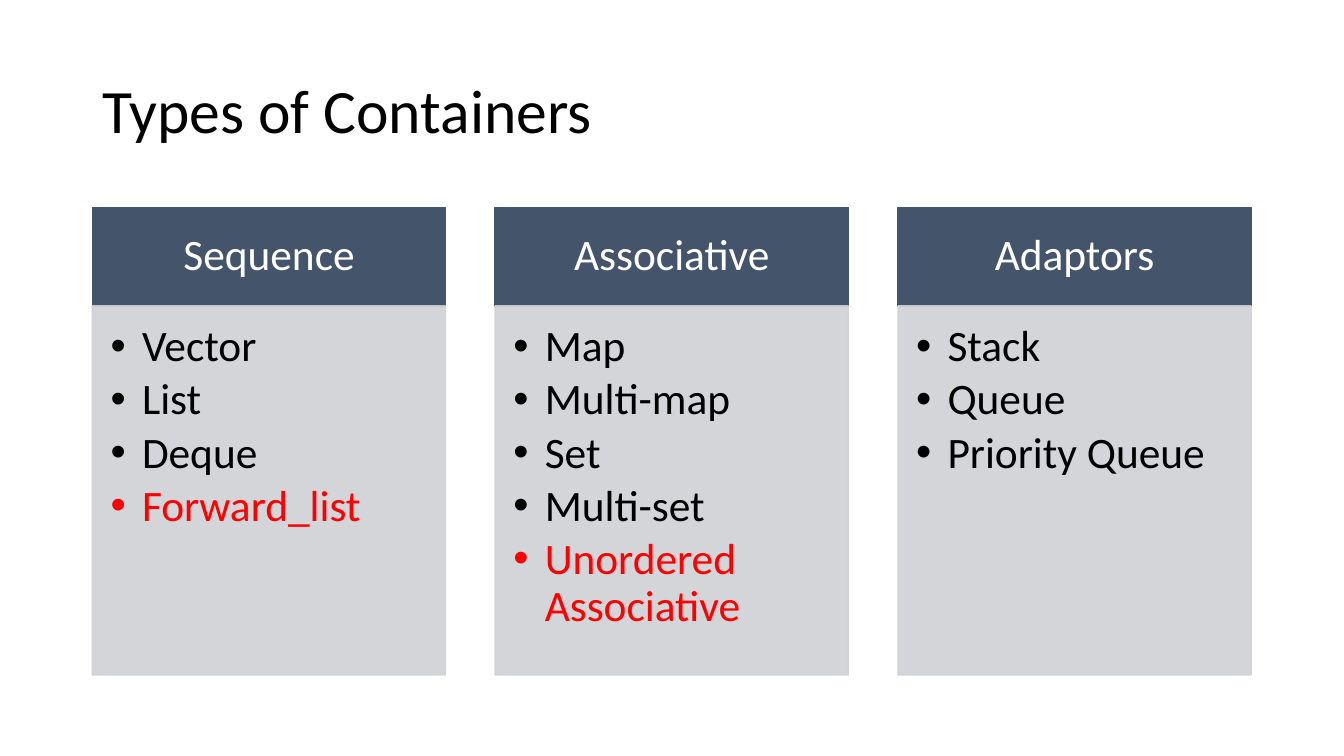
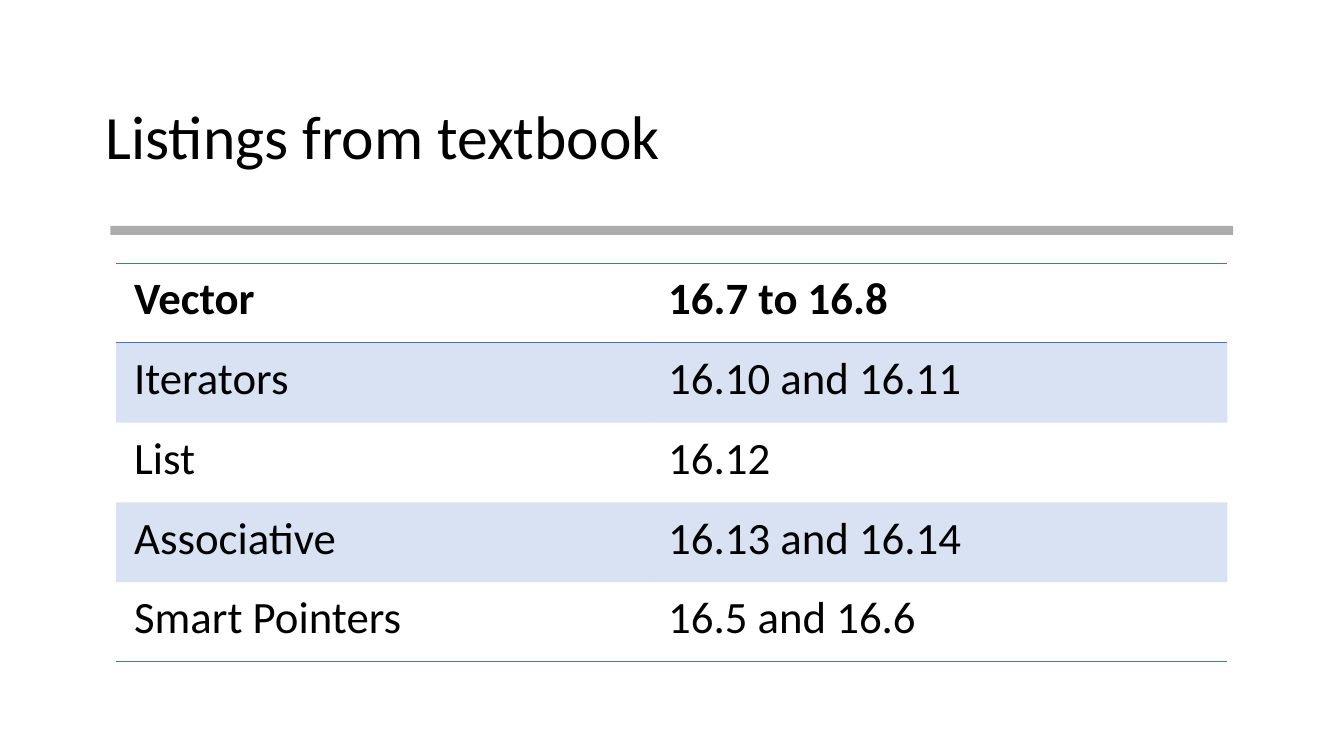
"""Two slides on C++ containers: a three-column overview and a table of textbook listings."""
from lxml.etree import SubElement
from pptx import Presentation
from pptx.dml.color import RGBColor
from pptx.enum.shapes import MSO_SHAPE
from pptx.enum.text import MSO_ANCHOR, PP_ALIGN
from pptx.oxml.ns import qn
from pptx.util import Cm, Pt

CONTAINERS = {
    "Sequence": ["Vector", "List", "Deque", "Forward_list"],
    "Associative": ["Map", "Multi-map", "Set", "Multi-set", "Unordered Associative"],
    "Adaptors": ["Stack", "Queue", "Priority Queue"],
}
HIGHLIGHTED = {"Forward_list", "Unordered Associative"}
LISTINGS = [
    ("Vector", "16.7 to 16.8"),
    ("Iterators", "16.10 and 16.11"),
    ("List", "16.12"),
    ("Associative", "16.13 and 16.14"),
    ("Smart Pointers", "16.5 and 16.6"),
]

FONT = "Calibri"
BLACK = RGBColor(0x00, 0x00, 0x00)
WHITE = RGBColor(0xFF, 0xFF, 0xFF)
RED = RGBColor(0xFF, 0x00, 0x00)
SLATE = RGBColor(0x44, 0x54, 0x6A)
PALE_GRAY = RGBColor(0xCF, 0xD1, 0xD4)
RULE_GRAY = RGBColor(0x80, 0x80, 0x80)
BLUE = RGBColor(0x44, 0x72, 0xC4)
PLAIN_TABLE_STYLE = "{2D5ABB26-0587-4C30-8999-92F81FD0307C}"

COLUMN_LEFT, COLUMN_STEP, COLUMN_WIDTH = 2.33, 10.15, 8.9
HEADER_TOP, HEADER_HEIGHT, BODY_HEIGHT = 5.23, 2.48, 9.3
TABLE_LEFT, TABLE_TOP, ROW_HEIGHT = 2.92, 6.63, 2.01
TABLE_WIDTHS = (13.46, 14.55)


def style(paragraph, size, color, bold=False):
    font = paragraph.font
    font.name, font.size, font.bold = FONT, Pt(size), bold
    font.color.rgb = color


def set_insets(target, left, top, right, bottom):
    target.margin_left, target.margin_top = Cm(left), Cm(top)
    target.margin_right, target.margin_bottom = Cm(right), Cm(bottom)


def set_opacity(element, percent):
    for color in element.iter(qn("a:srgbClr")):
        SubElement(color, qn("a:alpha"), val=str(percent * 1000))


def add_title(slide, text, left, top, width):
    frame = slide.shapes.add_textbox(Cm(left), Cm(top), Cm(width), Cm(3.68)).text_frame
    frame.word_wrap = True
    frame.vertical_anchor = MSO_ANCHOR.MIDDLE
    paragraph = frame.paragraphs[0]
    paragraph.text = text
    paragraph.line_spacing = 0.9
    style(paragraph, 44, BLACK)


def add_box(slide, left, top, width, height, color, opacity=100, outlined=True):
    box = slide.shapes.add_shape(MSO_SHAPE.RECTANGLE, Cm(left), Cm(top), Cm(width), Cm(height))
    box.shadow.inherit = False
    box.fill.solid()
    box.fill.fore_color.rgb = color
    if outlined:
        box.line.color.rgb = color
        box.line.width = Pt(1)
    else:
        box.line.fill.background()
    if opacity < 100:
        set_opacity(box._element.spPr, opacity)
    box.text_frame.word_wrap = True
    return box


def add_bullet(paragraph, color):
    properties = paragraph._p.get_or_add_pPr()
    properties.set("marL", str(Cm(0.79)))
    properties.set("indent", str(-Cm(0.79)))
    SubElement(SubElement(properties, qn("a:buClr")), qn("a:srgbClr"), val=str(color))
    SubElement(properties, qn("a:buFont"), typeface="Arial")
    SubElement(properties, qn("a:buChar"), char="\u2022")


def add_container_column(slide, left, heading, items):
    header = add_box(slide, left, HEADER_TOP, COLUMN_WIDTH, HEADER_HEIGHT, SLATE).text_frame
    set_insets(header, 0.61, 0.36, 0.61, 0.36)
    header.vertical_anchor = MSO_ANCHOR.MIDDLE
    paragraph = header.paragraphs[0]
    paragraph.text = heading
    paragraph.alignment = PP_ALIGN.CENTER
    paragraph.line_spacing = 0.9
    style(paragraph, 31, WHITE)

    body_top = HEADER_TOP + HEADER_HEIGHT
    body = add_box(slide, left, body_top, COLUMN_WIDTH, BODY_HEIGHT, PALE_GRAY, 90).text_frame
    set_insets(body, 0.46, 0.46, 0.61, 0.69)
    body.vertical_anchor = MSO_ANCHOR.TOP
    body.text = "\n".join(items)
    for paragraph, item in zip(body.paragraphs, items):
        color = RED if item in HIGHLIGHTED else BLACK
        paragraph.alignment = PP_ALIGN.LEFT
        paragraph.line_spacing = 0.9
        paragraph.space_after = Pt(4.5)
        add_bullet(paragraph, color)
        style(paragraph, 31, color)


def add_border(cell, side):
    line = SubElement(cell._tc.get_or_add_tcPr(), qn(f"a:{side}"), w=str(Pt(1)))
    SubElement(SubElement(line, qn("a:solidFill")), qn("a:srgbClr"), val=str(BLUE))


def add_listings_table(slide):
    last = len(LISTINGS) - 1
    frame = slide.shapes.add_table(
        len(LISTINGS), len(TABLE_WIDTHS), Cm(TABLE_LEFT), Cm(TABLE_TOP),
        Cm(sum(TABLE_WIDTHS)), Cm(ROW_HEIGHT * len(LISTINGS)))
    table = frame.table
    table.horz_banding = False
    table._tbl.tblPr.find(qn("a:tableStyleId")).text = PLAIN_TABLE_STYLE
    for column, width in zip(table.columns, TABLE_WIDTHS):
        column.width = Cm(width)
    for row_index, texts in enumerate(LISTINGS):
        table.rows[row_index].height = Cm(ROW_HEIGHT)
        for column_index, text in enumerate(texts):
            cell = table.cell(row_index, column_index)
            set_insets(cell, 0.46, 0.23, 0.46, 0.23)
            cell.text = text
            style(cell.text_frame.paragraphs[0], 32, BLACK, bold=row_index == 0)
            if row_index == 0:
                add_border(cell, "lnT")
            if row_index in (0, last):
                add_border(cell, "lnB")
            if row_index % 2:
                cell.fill.solid()
                cell.fill.fore_color.rgb = BLUE
                set_opacity(cell._tc.tcPr, 20)
            else:
                cell.fill.background()


presentation = Presentation()
presentation.slide_width, presentation.slide_height = Cm(33.87), Cm(19.05)
blank_layout = presentation.slide_layouts[6]

containers_slide = presentation.slides.add_slide(blank_layout)
add_title(containers_slide, "Types of Containers", 2.33, 1.01, 29.21)
for index, (heading, items) in enumerate(CONTAINERS.items()):
    add_container_column(containers_slide, COLUMN_LEFT + index * COLUMN_STEP, heading, items)

listings_slide = presentation.slides.add_slide(blank_layout)
add_title(listings_slide, "Listings from textbook", 2.41, 1.68, 29.03)
add_box(listings_slide, 2.78, 5.69, 28.3, 0.23, RULE_GRAY, 65, outlined=False)
add_listings_table(listings_slide)

presentation.save("out.pptx")
